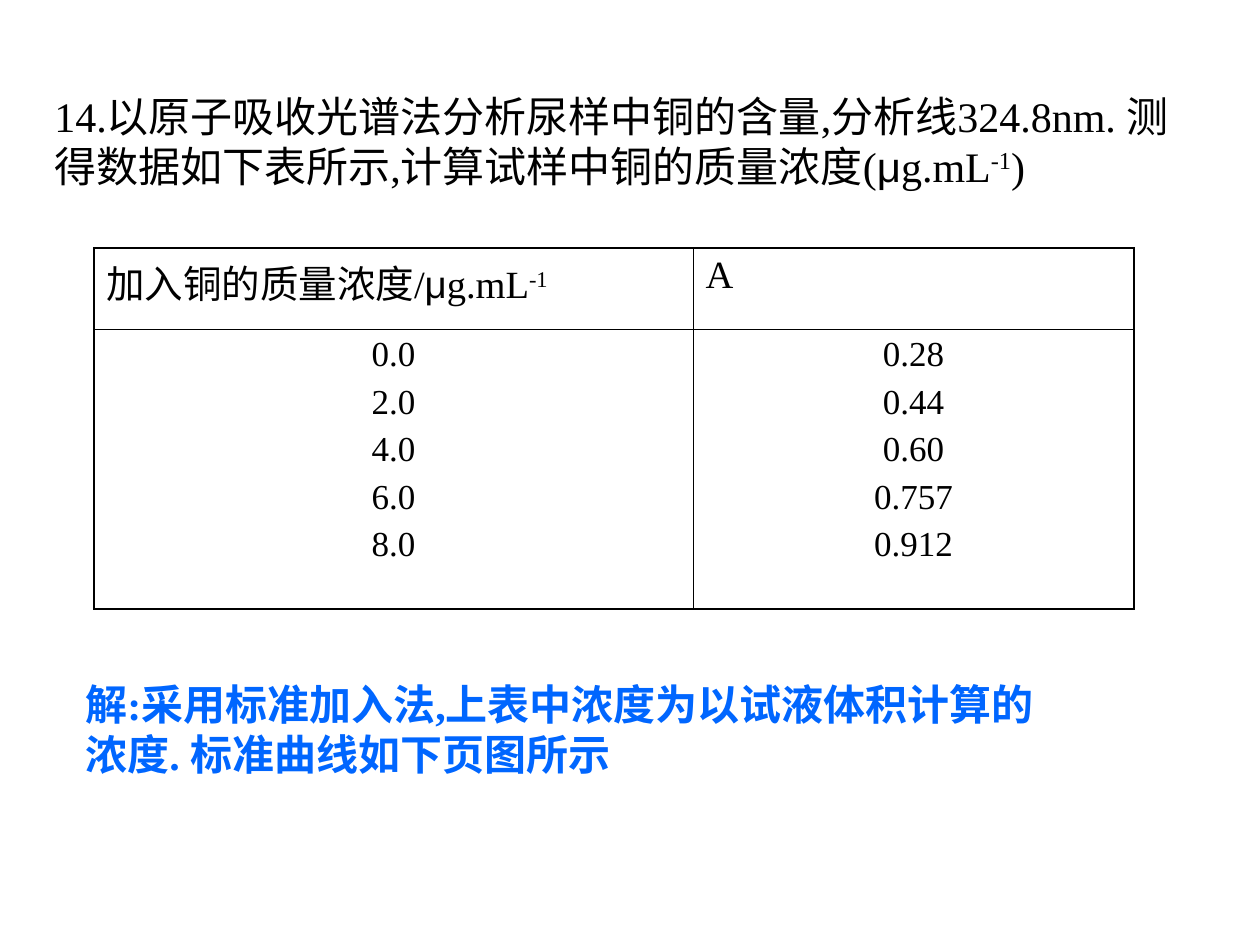
from lxml.etree import SubElement
from pptx import Presentation
from pptx.dml.color import RGBColor
from pptx.enum.text import MSO_AUTO_SIZE as AutoSize, PP_ALIGN as Align
from pptx.oxml.ns import qn
from pptx.util import Emu, Pt

PX = 914400 / 126
BLACK = RGBColor(0x00, 0x00, 0x00)
BLUE = RGBColor(0x00, 0x66, 0xFF)
SERIF, SANS = "Times New Roman", "Arial"
OUTER, INNER = 1.08, 0.45

QUESTION_FORMAT = {"size": Pt(24), "name": SERIF, "bold": False}
SOLUTION_FORMAT = {"size": Pt(24), "name": SERIF, "bold": True}
HEADER_FORMAT = {"size": Pt(22), "name": SERIF, "bold": False}
VALUE_FORMAT = {"size": Pt(20), "name": SERIF, "bold": False}

# A run is its text, with an optional font name and baseline in thousandths of a percent
UNIT = [("μ", SANS), ("g.mL",), ("-1", SERIF, 30000)]
QUESTION = [
    ("14.以原子吸收光谱法分析尿样中铜的含量,分析线324.8nm. "
     "测得数据如下表所示,计算试样中铜的质量浓度(",),
    *UNIT,
    (")",),
]
SOLUTION = [("解:采用标准加入法,上表中浓度为以试液体积计算的浓度. 标准曲线如下页图所示",)]
HEADERS = [[("加入铜的质量浓度/",), *UNIT], [("A",)]]
VALUES = [["0.0", "2.0", "4.0", "6.0", "8.0"],
          ["0.28", "0.44", "0.60", "0.757", "0.912"]]


def px(*lengths):
    return [Emu(round(length * PX)) for length in lengths]


def add_runs(paragraph, runs, font_format, color=BLACK):
    for text, name, baseline in ((*run, SERIF, 0)[:3] if len(run) == 1
                                 else (*run, 0)[:3] for run in runs):
        run = paragraph.add_run()
        run.text = text
        for key, value in {**font_format, "name": name}.items():
            setattr(run.font, key, value)
        run.font.color.rgb = color
        if baseline:
            run._r.get_or_add_rPr().set("baseline", str(baseline))


def add_text(slide, box, runs, font_format, color=BLACK):
    frame = slide.shapes.add_textbox(*px(*box)).text_frame
    frame.word_wrap = True
    frame.auto_size = AutoSize.SHAPE_TO_FIT_TEXT
    add_runs(frame.paragraphs[0], runs, font_format, color)


def set_borders(cell, widths):
    properties = cell._tc.get_or_add_tcPr()
    for index, (side, width) in enumerate(widths.items()):
        line = SubElement(properties, qn(f"a:ln{side}"), w=str(Pt(width)))
        fill = SubElement(line, qn("a:solidFill"))
        SubElement(fill, qn("a:srgbClr"), val=str(BLACK))
        properties.insert(index, line)


def add_data_table(slide, box, column_widths, row_heights):
    table = slide.shapes.add_table(2, 2, *px(*box)).table
    table.first_row = table.horz_banding = False
    for column, width in zip(table.columns, px(*column_widths)):
        column.width = width
    for row, height in zip(table.rows, px(*row_heights)):
        row.height = height

    # Header above one cell holding the whole series
    for index, (header, values) in enumerate(zip(HEADERS, VALUES)):
        add_runs(table.cell(0, index).text_frame.paragraphs[0], header, HEADER_FORMAT)
        frame = table.cell(1, index).text_frame
        for number, value in enumerate(values):
            paragraph = frame.add_paragraph() if number else frame.paragraphs[0]
            paragraph.alignment = Align.CENTER
            if number:
                paragraph.space_before = Pt(5)
            add_runs(paragraph, [(value,)], VALUE_FORMAT)

    # Heavier frame outside, thin rules inside
    for row in range(2):
        for column in range(2):
            cell = table.cell(row, column)
            cell.fill.background()
            set_borders(cell, {
                "L": INNER if column else OUTER,
                "R": OUTER if column else INNER,
                "T": INNER if row else OUTER,
                "B": OUTER if row else INNER,
            })


def main():
    presentation = Presentation()
    presentation.slide_width, presentation.slide_height = px(1260, 945)
    slide = presentation.slides.add_slide(presentation.slide_layouts[6])

    add_text(slide, (42, 84, 1144, 113), QUESTION, QUESTION_FORMAT)
    add_data_table(slide, (94, 248, 1040, 361), (599, 441), (81, 280))
    add_text(slide, (73, 672, 1008, 113), SOLUTION, SOLUTION_FORMAT, BLUE)

    presentation.save("out.pptx")


if __name__ == "__main__":
    main()
